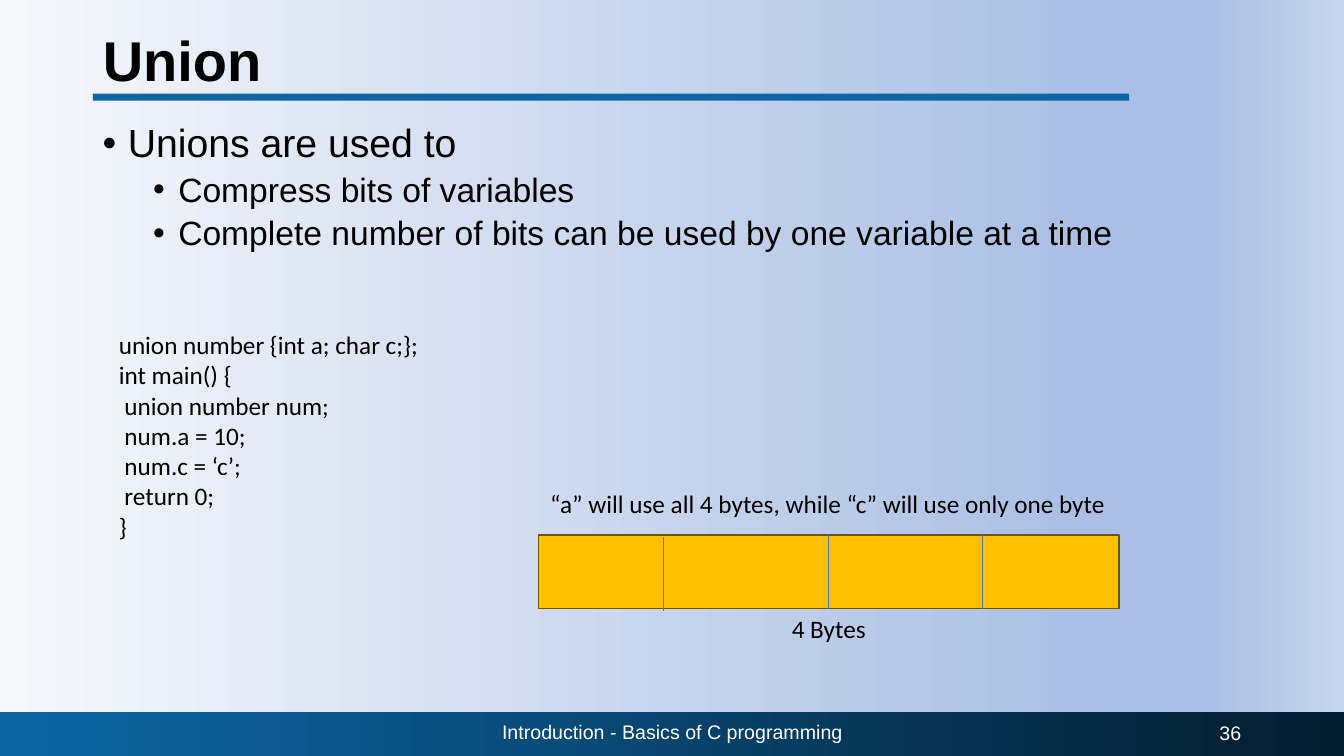
"""Build the slide on unions in C."""
from dataclasses import dataclass
from typing import Any

import lxml.etree
import pptx
import pptx.dml.color
import pptx.enum.shapes
import pptx.enum.text
import pptx.oxml.ns
import pptx.util

Inches = pptx.util.Inches
Pt = pptx.util.Pt
Align = pptx.enum.text.PP_ALIGN
Anchor = pptx.enum.text.MSO_ANCHOR
qn = pptx.oxml.ns.qn


@dataclass(frozen=True)
class Theme:
    head: str = "Arial"
    body: str = "Calibri"
    black: str = "000000"
    white: str = "FFFFFF"
    blue: str = "0C66A4"
    gold: str = "FFC000"
    edge: str = "705400"
    line: str = "4472C4"
    back: tuple = ((0, "F6F8FC"), (80, "ABC0E4"), (90, "ABC0E4"), (100, "C7D5ED"))
    foot: tuple = ((0, "0C66A4"), (40, "094C7B"), (69, "063352"), (100, "031D2F"))
    title: int = 40
    lead: int = 28
    sub: int = 24
    text: int = 18
    small: int = 14


THEME = Theme()


@dataclass(frozen=True)
class Box:
    left: float
    top: float
    width: float
    height: float

    def place(self) -> tuple:
        return tuple(Inches(n) for n in (self.left, self.top, self.width, self.height))


@dataclass(frozen=True)
class Para:
    text: str
    size: int = THEME.text
    font: str = THEME.body
    color: str = THEME.black
    bold: bool = False
    align: Any = Align.LEFT
    indent: float = 0
    space: float = 0
    lead: float = 1.0


@dataclass(frozen=True)
class Label:
    box: Box
    paras: tuple
    anchor: Any = Anchor.TOP


def rgb(code: str) -> Any:
    return pptx.dml.color.RGBColor.from_string(code)


def blend(fill: Any, root: Any, stops: tuple) -> None:
    fill.gradient()
    fill.gradient_angle = 0
    items = root.find(".//" + qn("a:gsLst"))
    for old in list(items):
        items.remove(old)
    for spot, code in stops:
        stop = lxml.etree.SubElement(items, qn("a:gs"), pos=str(spot * 1000))
        lxml.etree.SubElement(stop, qn("a:srgbClr"), val=code)


def write(frame: Any, paras: tuple, anchor: Any) -> None:
    frame.word_wrap = True
    frame.auto_size = pptx.enum.text.MSO_AUTO_SIZE.NONE
    frame.vertical_anchor = anchor
    for num, item in enumerate(paras):
        para = frame.add_paragraph() if num else frame.paragraphs[0]
        para.alignment = item.align
        para.line_spacing = item.lead
        para.space_before = Pt(item.space)
        if item.indent:
            props = para._p.get_or_add_pPr()
            props.set("marL", str(Inches(item.indent)))
            props.set("indent", str(Inches(-0.25)))
            lxml.etree.SubElement(props, qn("a:buFont"), typeface=THEME.head)
            lxml.etree.SubElement(props, qn("a:buChar"), char="•")
        run = para.add_run()
        run.text = item.text
        run.font.name = item.font
        run.font.size = Pt(item.size)
        run.font.bold = item.bold
        run.font.color.rgb = rgb(item.color)


def label(slide: Any, item: Label) -> None:
    shape = slide.shapes.add_textbox(*item.box.place())
    write(shape.text_frame, item.paras, item.anchor)


def block(slide: Any, box: Box, color: str) -> Any:
    kind = pptx.enum.shapes.MSO_SHAPE.RECTANGLE
    shape = slide.shapes.add_shape(kind, *box.place())
    shape.shadow.inherit = False
    shape.fill.solid()
    shape.fill.fore_color.rgb = rgb(color)
    shape.line.fill.background()
    return shape


def split(slide: Any, left: float, top: float, height: float) -> Any:
    kind = pptx.enum.shapes.MSO_CONNECTOR.STRAIGHT
    ends = (Inches(n) for n in (left, top, left, top + height))
    line = slide.shapes.add_connector(kind, *ends)
    line.line.color.rgb = rgb(THEME.line)
    line.line.width = Pt(0.5)
    lxml.etree.SubElement(line._element.spPr, qn("a:effectLst"))
    return line


TITLE = Label(
    Box(0.92, 0.12, 11.5, 1.01),
    (Para("Union", THEME.title, THEME.head, bold=True, lead=0.9),),
    Anchor.MIDDLE,
)
SUBS = ("Compress bits of variables",
        "Complete number of bits can be used by one variable at a time")
CODE = ("union number {int a; char c;};", "int main() {", " union number num;",
        " num.a = 10;", " num.c = ‘c’;", " return 0;", "}")
BAR = Box(5.34, 5.31, 5.76, 0.73)


def small(text: str, align: Any) -> tuple:
    return (Para(text, THEME.small, THEME.head, THEME.white, align=align),)


def note(text: str) -> tuple:
    return (Para(text, align=Align.CENTER),)


LABELS = (
    Label(Box(0.92, 1.18, 11.5, 1.68), (
        Para("Unions are used to", THEME.lead, THEME.head,
             indent=0.25, space=10, lead=0.9),
        *(Para(text, THEME.sub, THEME.head, indent=0.75, space=5, lead=0.9)
          for text in SUBS))),
    Label(Box(4.42, 7.06, 4.5, 0.4),
          small("Introduction - Basics of C programming", Align.CENTER), Anchor.MIDDLE),
    Label(Box(9.41, 7.07, 3, 0.4), small("36", Align.RIGHT), Anchor.MIDDLE),
    Label(Box(1.08, 3.22, 11.18, 2.22), tuple(Para(text) for text in CODE)),
    Label(Box(5.34, 6.04, 5.76, 0.4), note("4 Bytes")),
    Label(Box(5.33, 4.8, 5.76, 0.4),
          note("“a” will use all 4 bytes, while “c” will use only one byte")),
)


def main() -> None:
    deck = pptx.Presentation()
    deck.slide_width, deck.slide_height = Inches(13.33), Inches(7.5)
    slide = deck.slides.add_slide(deck.slide_layouts[5])
    blend(slide.background.fill, slide.element, THEME.back)

    foot = block(slide, Box(0, 7.06, 13.33, 0.44), THEME.blue)
    blend(foot.fill, foot._element, THEME.foot)
    block(slide, Box(0.92, 0.93, 10.28, 0.07), THEME.blue)

    title = slide.shapes.title
    title.left, title.top, title.width, title.height = TITLE.box.place()
    write(title.text_frame, TITLE.paras, TITLE.anchor)

    bar = block(slide, BAR, THEME.gold)
    bar.line.color.rgb = rgb(THEME.edge)
    bar.line.width = Pt(1)
    split(slide, 6.58, BAR.top + 0.02, BAR.height)
    middle = split(slide, BAR.left + BAR.width / 2, BAR.top, BAR.height)
    middle.begin_connect(bar, 0)
    middle.end_connect(bar, 2)
    split(slide, 9.74, BAR.top, BAR.height)

    for item in LABELS:
        label(slide, item)
    deck.save("out.pptx")


if __name__ == "__main__":
    main()
